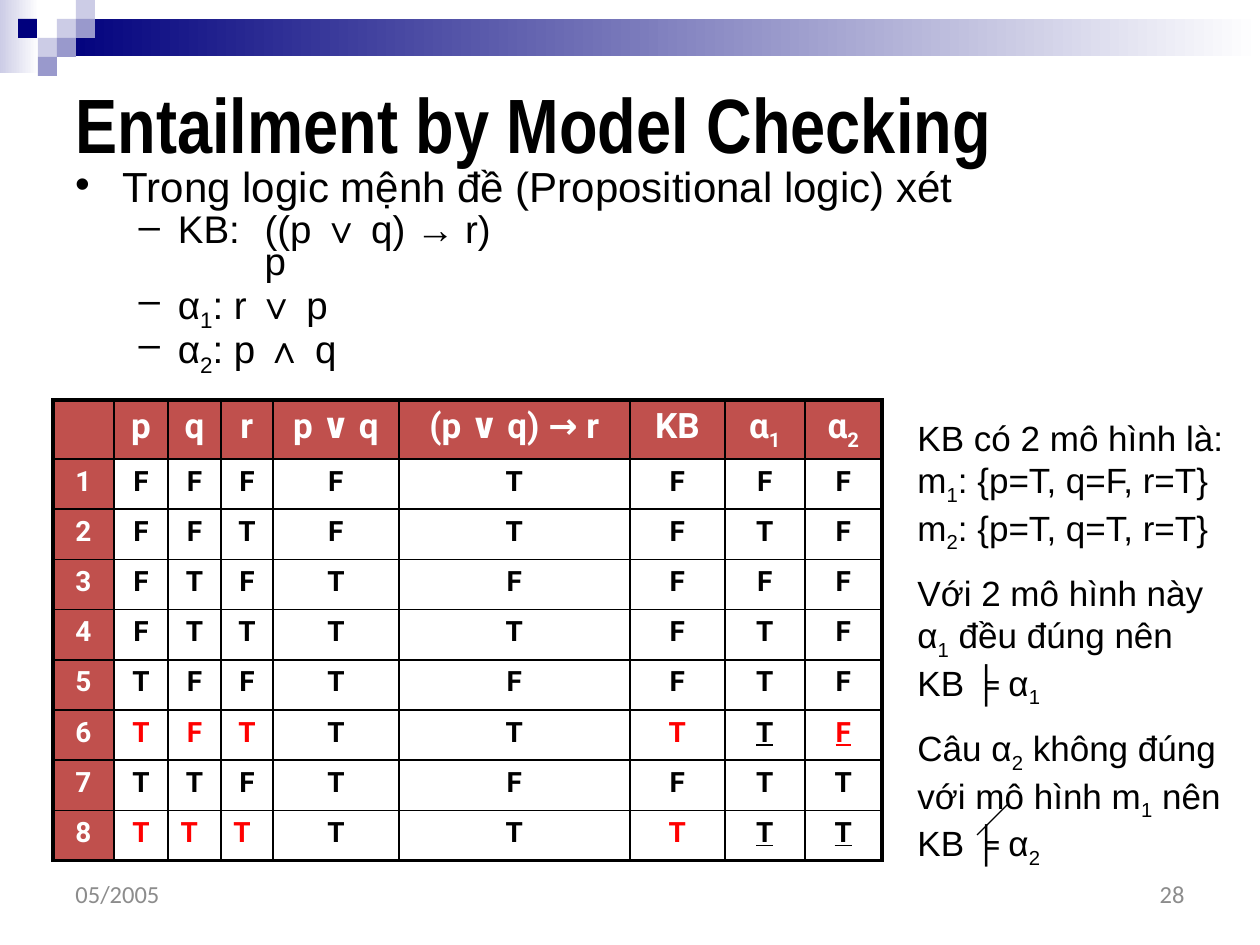
from dataclasses import dataclass

from lxml import etree
from pptx import Presentation
from pptx.dml.color import RGBColor
from pptx.enum.shapes import MSO_CONNECTOR, MSO_SHAPE
from pptx.enum.text import MSO_ANCHOR, MSO_AUTO_SIZE, PP_ALIGN
from pptx.oxml.ns import qn
from pptx.util import Pt

RECT = MSO_SHAPE.RECTANGLE
STRAIGHT = MSO_CONNECTOR.STRAIGHT
LEFT, CENTER, RIGHT = PP_ALIGN.LEFT, PP_ALIGN.CENTER, PP_ALIGN.RIGHT
TOP, MIDDLE = MSO_ANCHOR.TOP, MSO_ANCHOR.MIDDLE
NO_FIT = MSO_AUTO_SIZE.NONE
EMU_PER_PX = 914400 / 126


@dataclass(frozen=True)
class Theme:
    ink: str = "000000"
    paper: str = "FFFFFF"
    navy: str = "00007D"
    lilac: str = "CCCCE6"
    violet: str = "9999CC"
    header: str = "C0504D"
    mark: str = "FF0000"
    footer: str = "8C8C8C"
    title_font: str = "Arial Narrow"
    text_font: str = "Arial"
    table_font: str = "Roboto"
    footer_font: str = "Calibri"
    title_size: int = 44
    lead_size: int = 24
    item_size: int = 22
    note_size: int = 20
    head_size: int = 20
    cell_size: int = 16
    footer_size: int = 14
    outer_line: float = 2.25
    inner_line: float = 1


T = Theme()

ITEMS = ["KB:\t((p ∨ q) → r)\n\t\tp", "α_1_: r ∨ p", "α_2_: p ∧ q"]
NOTES = [
    "KB có 2 mô hình là:\nm_1_: {p=T, q=F, r=T}\nm_2_: {p=T, q=T, r=T}",
    "Với 2 mô hình này α_1_ đều đúng nên\nKB ╞ α_1_",
    "Câu α_2_ không đúng với mô hình m_1_ nên KB ╞ α_2_",
]
HEADS = ["", "p", "q", "r", "p ∨ q", "(p ∨ q) → r", "KB", "α_1_", "α_2_"]
VALUES = ["FFFFTFFF", "FFTFTFTF", "FTFTFFFF", "FTTTTFTF",
          "TFFTFFTF", "TFTTTTTF", "TTFTFFTT", "TTTTTTTT"]
COL_WIDTHS = [61, 54, 53, 52, 126, 231, 95, 80, 77]
HEAD_HEIGHT = 59
RED_CELLS = {(row, col) for row in (6, 8) for col in (1, 2, 3, 6)} | {(6, 8)}
UNDERLINED_CELLS = {(row, col) for row in (6, 8) for col in (7, 8)}
LEFT_CELLS = {(8, 2), (8, 3)}


def px(n):
    return round(n * EMU_PER_PX)


def rgb(color):
    return RGBColor.from_string(color)


def write(p, text, size, font, color, bold=False, underline=False):
    """Fill a paragraph; text between underscores is set as a subscript."""
    for i, line in enumerate(text.split("\n")):
        if i:
            p.add_line_break()
            etree.SubElement(p._p[-1], qn("a:rPr"), sz=str(size * 100))
        for j, part in enumerate(line.split("_")):
            if not part:
                continue
            r = p.add_run()
            r.text = part
            r.font.size, r.font.name = Pt(size), font
            r.font.bold, r.font.underline = bold, underline
            r.font.color.rgb = rgb(color)
            if j % 2:
                r._r.get_or_add_rPr().set("baseline", "-25000")


def place(s, box):
    s.left, s.top, s.width, s.height = map(px, box)


def add_text(slide, box, anchor=TOP):
    s = slide.shapes.add_textbox(*map(px, box))
    tf = s.text_frame
    tf.word_wrap, tf.vertical_anchor = True, anchor
    return tf


def add_rect(slide, box, color, fade=False):
    s = slide.shapes.add_shape(RECT, *map(px, box))
    s.shadow.inherit = False
    s.line.fill.background()
    if fade:
        s.fill.gradient()
        s.fill.gradient_angle = 0
        for stop, c in zip(s.fill.gradient_stops, (color, T.paper)):
            stop.color.rgb = rgb(c)
    else:
        s.fill.solid()
        s.fill.fore_color.rgb = rgb(color)


def add_banner(slide, box):
    x, y, w, h = box
    unit = h // 4
    add_rect(slide, (x, y, 39, h - 3), T.lilac, fade=True)
    add_rect(slide, (x + 57, y + unit, w - 57, 2 * unit - 1), T.navy, fade=True)
    squares = [(57, 1, T.lilac), (76, 0, T.lilac), (76, 1, T.violet),
               (38, 2, T.lilac), (18, 1, T.navy), (57, 2, T.violet),
               (38, 3, T.violet)]
    for dx, row, color in squares:
        add_rect(slide, (x + dx, y + row * unit, unit, unit), color)


def fill_title(slide, box):
    s = slide.shapes.title
    place(s, box)
    tf = s.text_frame
    tf.auto_size, tf.vertical_anchor = NO_FIT, MIDDLE
    p = tf.paragraphs[0]
    p.alignment = LEFT
    write(p, "Entailment by Model Checking", T.title_size, T.title_font, T.ink, bold=True)


def fill_body(slide, box):
    s = slide.placeholders[1]
    place(s, box)
    tf = s.text_frame
    tf.auto_size = NO_FIT
    p = tf.paragraphs[0]
    p.line_spacing, p.space_before = 0.7, Pt(8)
    write(p, "Trong logic mệnh đề (Propositional logic) xét",
          T.lead_size, T.text_font, T.ink)
    for item in ITEMS:
        p = tf.add_paragraph()
        p.level, p.line_spacing = 1, 0.7
        write(p, item, T.item_size, T.text_font, T.ink)


def set_borders(cell, outer_sides):
    """Draw all four borders, thicker on the outer sides (letters of LRTB)."""
    tcPr = cell._tc.get_or_add_tcPr()
    for side in "LRTB":
        width = T.outer_line if side in outer_sides else T.inner_line
        ln = etree.SubElement(tcPr, qn("a:ln" + side), w=str(Pt(width)))
        fill = etree.SubElement(ln, qn("a:solidFill"))
        etree.SubElement(fill, qn("a:srgbClr"), val=T.ink)


def add_truth_table(slide, box):
    grid = [HEADS] + [[str(n), *row] for n, row in enumerate(VALUES, 1)]
    last_row, last_col = len(grid) - 1, len(HEADS) - 1
    table = slide.shapes.add_table(len(grid), len(HEADS), *map(px, box)).table
    table.first_row = table.horz_banding = False
    for column, width in zip(table.columns, COL_WIDTHS):
        column.width = px(width)
    for row, line in enumerate(grid):
        table.rows[row].height = px((box[3] - HEAD_HEIGHT) / last_row if row else HEAD_HEIGHT)
        for col, text in enumerate(line):
            cell, at = table.cell(row, col), (row, col)
            edges = {"L": col == 0, "R": col == last_col, "T": row == 0, "B": row == last_row}
            set_borders(cell, [side for side, outer in edges.items() if outer])
            is_head = row == 0 or col == 0
            if is_head:
                cell.fill.solid()
                cell.fill.fore_color.rgb = rgb(T.header)
            else:
                cell.fill.background()
            color = T.paper if is_head else T.mark if at in RED_CELLS else T.ink
            p = cell.text_frame.paragraphs[0]
            p.alignment = LEFT if at in LEFT_CELLS else CENTER
            write(p, text, T.cell_size if row else T.head_size, T.table_font, color,
                  bold=True, underline=at in UNDERLINED_CELLS)


def add_notes(slide, box):
    x, y, _, _ = box
    tf = add_text(slide, box)
    for i, note in enumerate(NOTES):
        p = tf.add_paragraph() if i else tf.paragraphs[0]
        p.space_before = Pt(T.note_size / 2)
        write(p, note, T.note_size, T.text_font, T.ink)
    strike = slide.shapes.add_connector(
        STRAIGHT, px(x + 103), px(y + 394), px(x + 72), px(y + 425))
    strike.line.color.rgb = rgb(T.ink)
    strike.line.width = Pt(0.75)
    etree.SubElement(strike._element.spPr, qn("a:effectLst"))


def add_footer(slide, box):
    x, y, w, h = box
    part = 294
    for left, text, align in ((x, "05/2005", LEFT), (x + w - part, "28", RIGHT)):
        p = add_text(slide, (left, y, part, h), MIDDLE).paragraphs[0]
        p.alignment = align
        write(p, text, T.footer_size, T.footer_font, T.footer)


def main():
    prs = Presentation()
    prs.slide_width, prs.slide_height = px(1260), px(945)
    slide = prs.slides.add_slide(prs.slide_layouts[1])
    add_banner(slide, (0, 0, 1260, 76))
    fill_title(slide, (63, 57, 1134, 132))
    fill_body(slide, (63, 168, 1134, 213))
    add_truth_table(slide, (53, 400, 829, 461))
    add_notes(slide, (905, 410, 344, 432))
    add_footer(slide, (63, 872, 1134, 44))
    prs.save("out.pptx")


if __name__ == "__main__":
    main()
